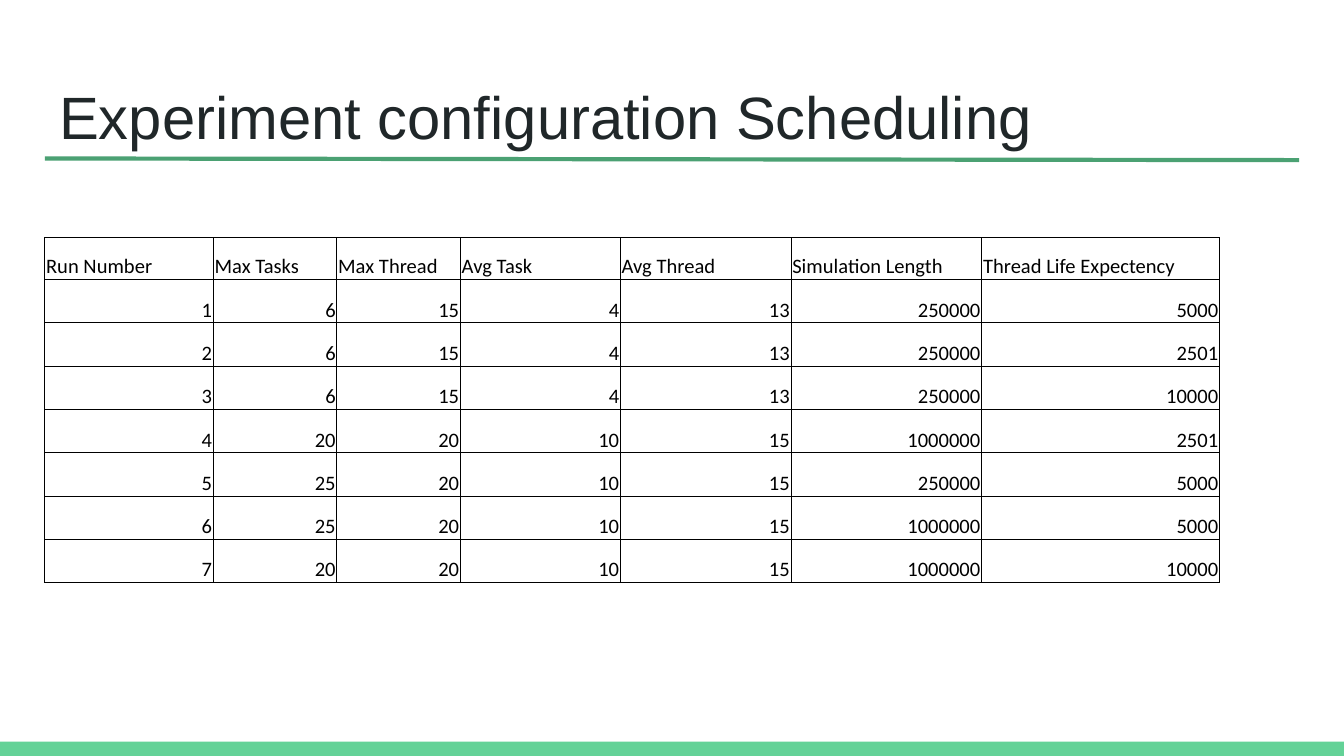
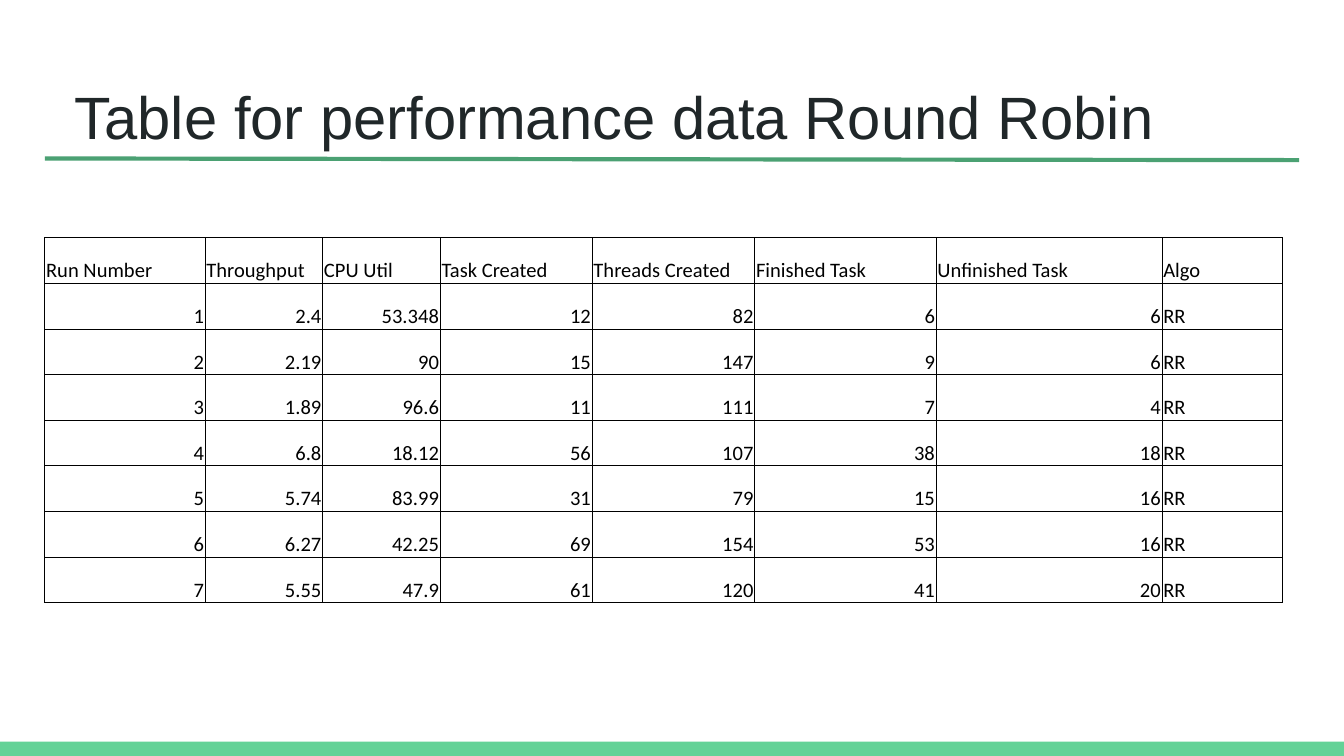
import pptx
import pptx.dml.color
import pptx.enum.shapes
import pptx.enum.text
import pptx.oxml.ns
import pptx.util
from lxml import etree

Pt = pptx.util.Pt
qn = pptx.oxml.ns.qn
ALIGN = pptx.enum.text.PP_ALIGN
ANCHOR = pptx.enum.text.MSO_ANCHOR

COLORS = {"band": "63D297", "rule": "4BA173", "title": "202729", "text": "000000"}
WIDTH, HEIGHT = 720, 405
MARGIN = 24

CONFIG = {
    "title": "Experiment configuration Scheduling",
    "widths": [90.3, 66.2, 66.2, 85.7, 91.4, 102.2, 127.4],
    "heights": [22.4] + [23.2] * 7,
    "rows": [
        ["Run Number", "Max Tasks", "Max Thread", "Avg Task", "Avg Thread",
         "Simulation Length", "Thread Life Expectency"],
        ["1", "6", "15", "4", "13", "250000", "5000"],
        ["2", "6", "15", "4", "13", "250000", "2501"],
        ["3", "6", "15", "4", "13", "250000", "10000"],
        ["4", "20", "20", "10", "15", "1000000", "2501"],
        ["5", "25", "20", "10", "15", "250000", "5000"],
        ["6", "25", "20", "10", "15", "1000000", "5000"],
        ["7", "20", "20", "10", "15", "1000000", "10000"],
    ],
}
ROUND_ROBIN = {
    "title": " Table for performance data Round Robin",
    "widths": [85.9, 63, 63, 81.4, 87.1, 97.2, 121, 64.4],
    "heights": [24.45] * 8,
    "rows": [
        ["Run Number", "Throughput", "CPU Util", "Task Created", "Threads Created",
         "Finished Task", "Unfinished Task", "Algo"],
        ["1", "2.4", "53.348", "12", "82", "6", "6", "RR"],
        ["2", "2.19", "90", "15", "147", "9", "6", "RR"],
        ["3", "1.89", "96.6", "11", "111", "7", "4", "RR"],
        ["4", "6.8", "18.12", "56", "107", "38", "18", "RR"],
        ["5", "5.74", "83.99", "31", "79", "15", "16", "RR"],
        ["6", "6.27", "42.25", "69", "154", "53", "16", "RR"],
        ["7", "5.55", "47.9", "61", "120", "41", "20", "RR"],
    ],
}


def rgb(name):
    return pptx.dml.color.RGBColor.from_string(COLORS[name])


def style_font(p, name, size, color):
    for r in p.runs:
        r.font.name = name
        r.font.size = Pt(size)
        r.font.color.rgb = rgb(color)


def add_band(slide, x, y, w, h):
    sp = slide.shapes.add_shape(pptx.enum.shapes.MSO_SHAPE.RECTANGLE,
                                Pt(x), Pt(y), Pt(w), Pt(h))
    sp.shadow.inherit = False
    sp.fill.solid()
    sp.fill.fore_color.rgb = rgb("band")
    sp.line.fill.background()


def add_title(slide, text, x, y, w, h):
    """Place the title and the slightly sloping rule below it."""
    sp = slide.shapes.title
    sp.left, sp.top, sp.width, sp.height = Pt(x), Pt(y), Pt(w), Pt(h)
    tf = sp.text_frame
    tf.text = text
    tf.word_wrap = True
    tf.auto_size = pptx.enum.text.MSO_AUTO_SIZE.NONE
    tf.vertical_anchor = ANCHOR.TOP
    tf.margin_left = tf.margin_right = tf.margin_top = tf.margin_bottom = Pt(7.2)
    p = tf.paragraphs[0]
    p.alignment = ALIGN.LEFT
    p.line_spacing = 1.0
    style_font(p, "Arial", 32, "title")

    rule_y = y + h + 4.2
    rule = slide.shapes.add_connector(
        pptx.enum.shapes.MSO_CONNECTOR.STRAIGHT,
        Pt(x - 0.5), Pt(rule_y), Pt(x + w + 0.5), Pt(rule_y + 0.9))
    rule.line.color.rgb = rgb("rule")
    rule.line.width = Pt(2.25)
    etree.SubElement(rule.element.spPr, qn("a:effectLst"))


def add_borders(cell):
    tc_pr = cell._tc.get_or_add_tcPr()
    for side in ("a:lnL", "a:lnR", "a:lnT", "a:lnB"):
        ln = etree.SubElement(tc_pr, qn(side), w=str(Pt(0.5)))
        fill = etree.SubElement(ln, qn("a:solidFill"))
        etree.SubElement(fill, qn("a:srgbClr"), val=COLORS["text"])


def add_data_table(slide, data, x, y):
    rows, widths, heights = data["rows"], data["widths"], data["heights"]
    table = slide.shapes.add_table(len(rows), len(widths), Pt(x), Pt(y),
                                   Pt(sum(widths)), Pt(sum(heights))).table
    table.first_row = table.horz_banding = False
    for column, width in zip(table.columns, widths):
        column.width = Pt(width)
    for row, height, values in zip(table.rows, heights, rows):
        row.height = Pt(height)
        for cell, value in zip(row.cells, values):
            cell.text = value
            cell.vertical_anchor = ANCHOR.BOTTOM
            cell.margin_left = cell.margin_right = cell.margin_top = Pt(0.7)
            cell.margin_bottom = 0
            add_borders(cell)
            cell.fill.background()
            p = cell.text_frame.paragraphs[0]
            p.alignment = ALIGN.RIGHT if value[0].isdigit() else ALIGN.LEFT
            style_font(p, "Calibri", 11, "text")


def add_table_slide(prs, data):
    slide = prs.slides.add_slide(prs.slide_layouts[5])
    add_band(slide, 0, HEIGHT - 7.6, WIDTH, 7.6)
    add_title(slide, data["title"], MARGIN + 0.5, 35.3, WIDTH - 2 * MARGIN - 1, 45.4)
    add_data_table(slide, data, MARGIN, 127.4)


def main():
    prs = pptx.Presentation()
    prs.slide_width, prs.slide_height = Pt(WIDTH), Pt(HEIGHT)
    for data in (CONFIG, ROUND_ROBIN):
        add_table_slide(prs, data)
    prs.save("out.pptx")


if __name__ == "__main__":
    main()
